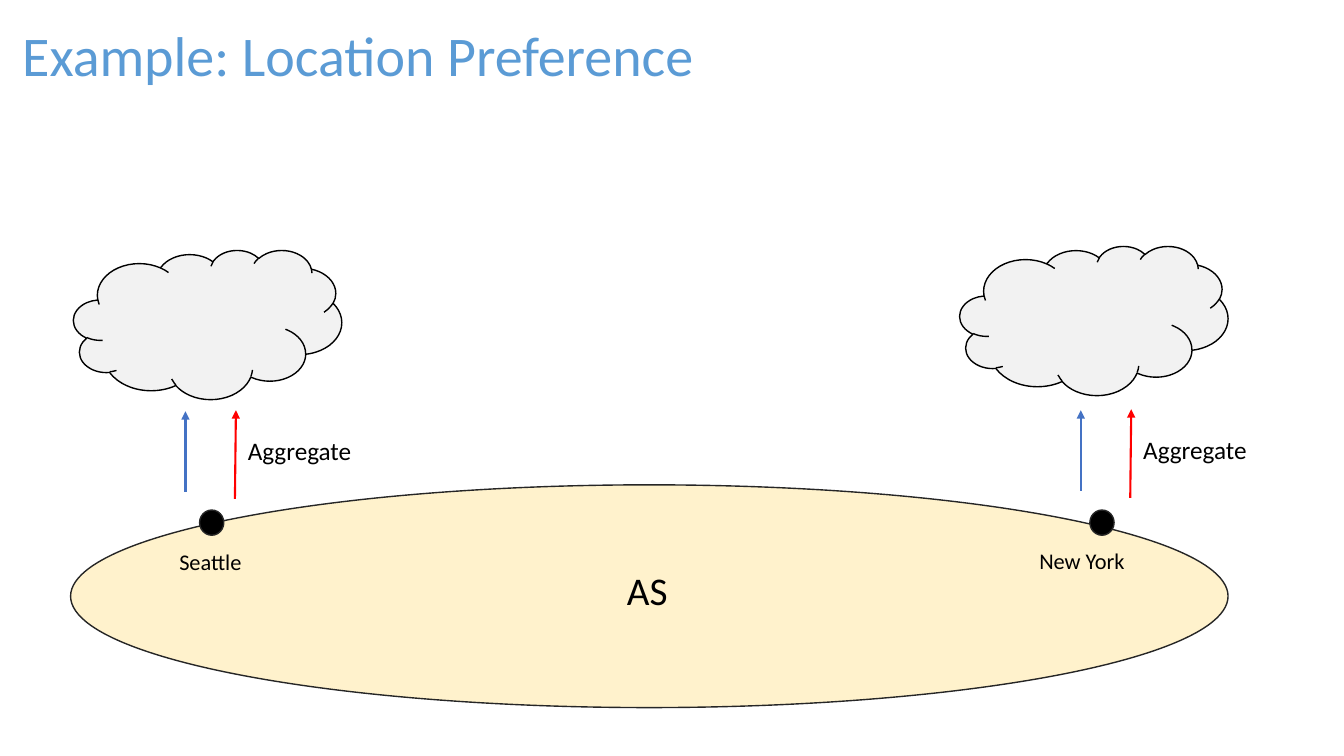
from lxml import etree
from pptx import Presentation
from pptx.dml.color import RGBColor
from pptx.enum.shapes import MSO_CONNECTOR, MSO_SHAPE
from pptx.enum.text import MSO_ANCHOR, PP_ALIGN
from pptx.oxml.ns import qn
from pptx.util import Inches, Pt

COLORS = {
    "title": "5B9BD5", "text": "000000", "network": "FFF2CC", "outline": "262626",
    "cloud": "F2F2F2", "black": "000000", "red": "FF0000", "blue": "4472C4",
}


class SlideBuilder:
    font = "Calibri"

    def __init__(self, slide):
        self.slide = slide

    def color(self, name):
        return RGBColor.from_string(COLORS[name])

    def style(self, paragraph, size, color):
        paragraph.font.name = self.font
        paragraph.font.size = Pt(size)
        paragraph.font.color.rgb = self.color(color)

    def title(self, text, left, top, width, height):
        title = self.slide.shapes.title
        title.left, title.top = Inches(left), Inches(top)
        title.width, title.height = Inches(width), Inches(height)
        frame = title.text_frame
        frame.text = text
        frame.word_wrap = True
        frame.vertical_anchor = MSO_ANCHOR.BOTTOM
        paragraph = frame.paragraphs[0]
        paragraph.alignment = PP_ALIGN.LEFT
        paragraph.line_spacing = 0.9
        self.style(paragraph, 40, "title")

    def shape(self, kind, left, top, width, height, fill, line):
        shape = self.slide.shapes.add_shape(
            kind, Inches(left), Inches(top), Inches(width), Inches(height))
        shape.shadow.inherit = False
        shape.fill.solid()
        shape.fill.fore_color.rgb = self.color(fill)
        shape.line.color.rgb = self.color(line)
        shape.line.width = Pt(1)

    def label(self, text, left, top, width, height, size, spacing=0.8, wrap=True, parent=None):
        box = (parent or self.slide).shapes.add_textbox(
            Inches(left), Inches(top), Inches(width), Inches(height))
        box.text_frame.text = text
        box.text_frame.word_wrap = wrap
        paragraph = box.text_frame.paragraphs[0]
        paragraph.line_spacing = spacing
        self.style(paragraph, size, "text")

    def arrow(self, start, end, color, parent):
        arrow = parent.shapes.add_connector(
            MSO_CONNECTOR.STRAIGHT, *(Inches(value) for value in (*start, *end)))
        arrow.line.color.rgb = self.color(color)
        arrow.line.width = Pt(1.5)
        etree.SubElement(arrow.line._get_or_add_ln(), qn("a:tailEnd"), type="triangle")
        etree.SubElement(arrow._element.spPr, qn("a:effectLst"))

    def announcement(self, left, top):
        """Route arrows and their label, placed from the blue arrow's tip."""
        group = self.slide.shapes.add_group_shape()
        self.label("Aggregate", left + 0.52, top + 0.19, 1.24, 0.4, 18, 1.0, False, group)
        self.arrow((left + 0.49, top + 0.87), (left + 0.5, top - 0.01), "red", group)
        self.arrow((left, top + 0.8), (left, top), "blue", group)


def main():
    prs = Presentation()
    prs.slide_width, prs.slide_height = Inches(13.33), Inches(7.5)
    builder = SlideBuilder(prs.slides.add_slide(prs.slide_layouts[5]))

    builder.title("Example: Location Preference", 0.12, 0, 7.05, 0.93)

    # Autonomous system
    builder.shape(MSO_SHAPE.OVAL, 0.7, 4.81, 11.48, 2.21, "network", "outline")
    builder.label("AS", 6.12, 5.66, 0.63, 0.51, 28)

    # Each city: label box, router, route arrows and neighbouring cloud
    cities = [
        ("Seattle", (1.68, 5.44, 0.9, 0.33), 1.98, (1.84, 4.08), (0.73, 2.48)),
        ("New York", (10.21, 5.43, 1.16, 0.33), 10.81, (10.72, 4.07), (9.52, 2.44)),
    ]
    for city, label_box, router_left, routes, cloud in cities:
        builder.label(city, *label_box, 16)
        builder.shape(MSO_SHAPE.OVAL, router_left, 5.06, 0.24, 0.25, "black", "outline")
        builder.announcement(*routes)
        builder.shape(MSO_SHAPE.CLOUD, *cloud, 2.66, 1.48, "cloud", "black")

    prs.save("out.pptx")


if __name__ == "__main__":
    main()
